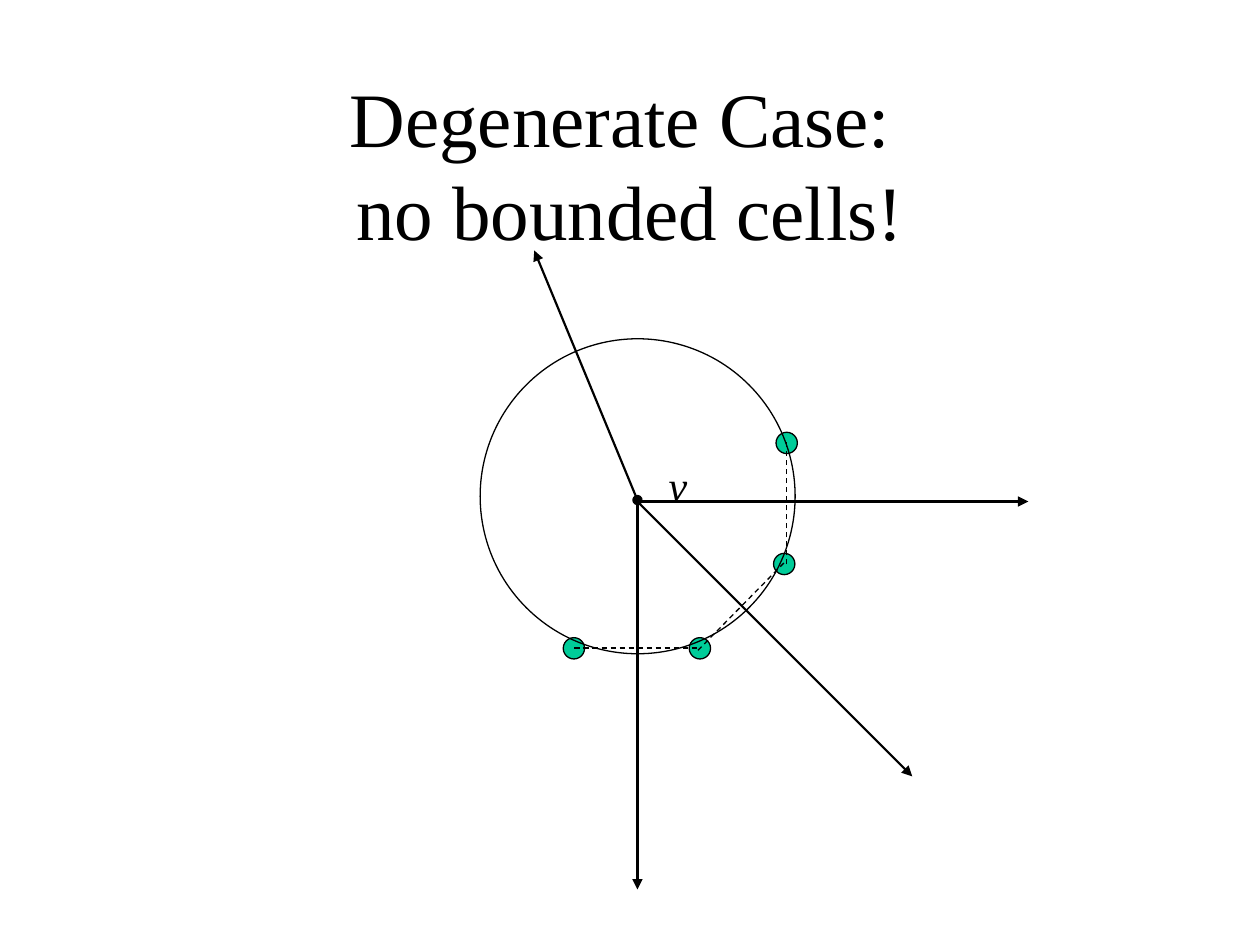
from lxml import etree
from pptx import Presentation
from pptx.dml.color import RGBColor
from pptx.enum.dml import MSO_LINE
from pptx.enum.shapes import MSO_CONNECTOR, MSO_SHAPE
from pptx.enum.text import MSO_ANCHOR, MSO_AUTO_SIZE, PP_ALIGN
from pptx.oxml.ns import qn
from pptx.util import Cm, Pt

OVAL = MSO_SHAPE.OVAL
STRAIGHT = MSO_CONNECTOR.STRAIGHT
DASH = MSO_LINE.DASH
CENTER = PP_ALIGN.CENTER
MIDDLE = MSO_ANCHOR.MIDDLE
NO_AUTOFIT = MSO_AUTO_SIZE.NONE
FONT = "Times New Roman"
BLACK = "000000"
GREEN = "00CC99"
THIN, THICK = 0.74, 1.25


def color(value):
    return RGBColor.from_string(value)


def set_text(tf, text, size, align=None, italic=None):
    tf.text = text
    for p in tf.paragraphs:
        p.alignment = align
        p.font.name = FONT
        p.font.size = Pt(size)
        p.font.italic = italic
        p.font.color.rgb = color(BLACK)


def add_title(slide, x, y, w, h):
    sp = slide.shapes.title
    sp.left, sp.top, sp.width, sp.height = Cm(x), Cm(y), Cm(w), Cm(h)
    tf = sp.text_frame
    tf.word_wrap = True
    tf.auto_size = NO_AUTOFIT
    tf.vertical_anchor = MIDDLE
    set_text(tf, "Degenerate Case: \vno bounded cells!", 44, CENTER)


def add_circle(slide, cx, cy, diameter, fill=None):
    r = diameter / 2
    sp = slide.shapes.add_shape(OVAL, Cm(cx - r), Cm(cy - r), Cm(diameter), Cm(diameter))
    sp.shadow.inherit = False
    if fill:
        sp.fill.solid()
        sp.fill.fore_color.rgb = color(fill)
    else:
        sp.fill.background()
    sp.line.color.rgb = color(BLACK)
    sp.line.width = Pt(THIN)


def add_line(slide, start, end, width, dash=None, head=None, tail=None):
    line = slide.shapes.add_connector(STRAIGHT, *(Cm(v) for v in (*start, *end)))
    line.line.color.rgb = color(BLACK)
    line.line.width = Pt(width)
    if dash:
        line.line.dash_style = dash
    ln = line.line._get_or_add_ln()
    for tag, kind in (("a:headEnd", head), ("a:tailEnd", tail)):
        if kind:
            etree.SubElement(ln, qn(tag), type=kind)
    etree.SubElement(line._element.spPr, qn("a:effectLst"))


def add_label(slide, x, y, w, h, text):
    tf = slide.shapes.add_textbox(Cm(x), Cm(y), Cm(w), Cm(h)).text_frame
    tf.word_wrap = False
    set_text(tf, text, 24, italic=True)


def add_voronoi(slide, x, y, diameter):
    def at(dx, dy):
        return x + dx, y + dy

    sites = [(1.89, 6.24), (4.43, 6.24), (6.13, 4.54), (6.18, 2.1)]
    edges = [((1.9, 6.23), (4.44, 6.23)),
             ((4.39, 6.28), (6.17, 4.47)),
             ((6.17, 4.55), (6.17, 2.01))]
    rays = [((3.17, 3.25), (3.17, 11.1), None),
            ((3.17, 3.28), (8.71, 8.82), None),
            ((3.17, 3.25), (1.09, -1.78), "oval"),
            ((3.22, 3.28), (11.05, 3.28), None)]
    for site in sites:
        add_circle(slide, *at(*site), 0.43, GREEN)
    for start, end in edges:
        add_line(slide, at(*start), at(*end), THIN, dash=DASH)
    for start, end, head in rays:
        add_line(slide, at(*start), at(*end), THICK, head=head, tail="triangle")
    add_label(slide, *at(3.55, 2.31), 0.89, 1.27, "v")
    add_circle(slide, *at(diameter / 2, diameter / 2), diameter)


prs = Presentation()
prs.slide_width, prs.slide_height = Cm(25.4), Cm(19.05)
slide = prs.slides.add_slide(prs.slide_layouts[5])
add_title(slide, 1.9, 1.7, 21.6, 3.18)
add_voronoi(slide, 9.68, 6.83, 6.35)
prs.save("out.pptx")
